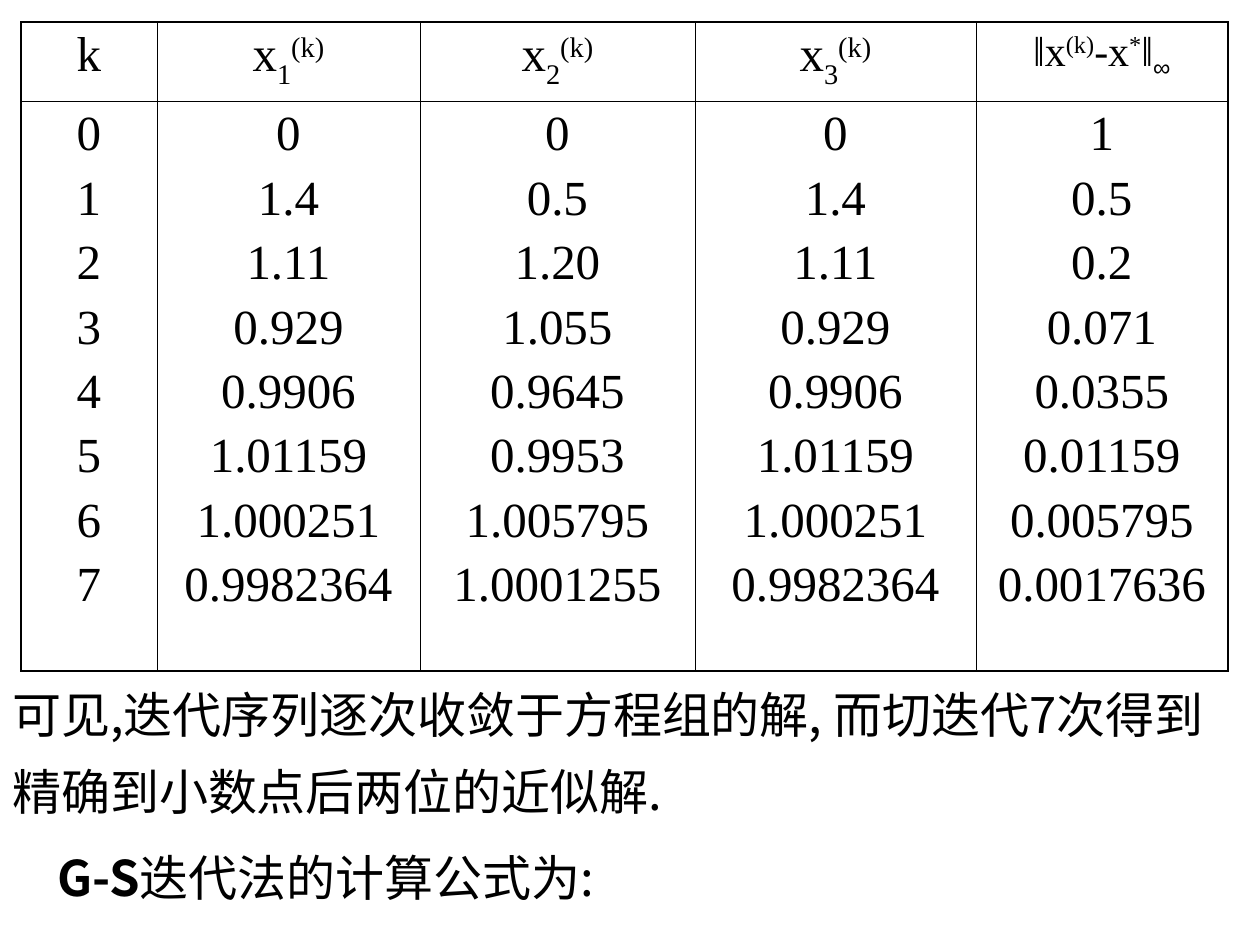
from lxml.etree import SubElement
from pptx import Presentation
from pptx.dml.color import RGBColor
from pptx.enum.text import MSO_AUTO_SIZE as AutoSize, PP_ALIGN as Align
from pptx.oxml.ns import qn
from pptx.util import Pt

PX = 914400 // 126
COLORS = {"ink": "000000"}
SERIF, SANS = "Times New Roman", "Noto Sans CJK SC"
THIN, THICK = Pt(0.45), Pt(1.08)
SUB, SUP = -25000, 30000


def add_span(para, text, size=28, font=SERIF, bold=False, baseline=None):
    span = para.add_run()
    span.text = text
    span.font.size = Pt(size)
    span.font.bold = bold
    span.font.name = font
    span.font.color.rgb = RGBColor.from_string(COLORS["ink"])
    props = span.font._element
    SubElement(props, qn("a:ea"), typeface=font)
    if baseline:
        props.set("baseline", str(baseline))


def set_border(cell, side, width):
    line = SubElement(cell._tc.get_or_add_tcPr(), qn(f"a:ln{side}"), w=str(width))
    fill = SubElement(line, qn("a:solidFill"))
    SubElement(fill, qn("a:srgbClr"), val=COLORS["ink"])


deck = Presentation()
deck.slide_width, deck.slide_height = 1260 * PX, 945 * PX
page = deck.slides.add_slide(deck.slide_layouts[6])

# Iteration table: each header is a list of (text, format) spans
headers = [[("k", {})]]
headers += [
    [("x", {}), (str(n), {"baseline": SUB}), ("(k)", {"baseline": SUP})]
    for n in (1, 2, 3)
]
small, raised = {"size": 24}, {"size": 24, "baseline": SUP}
headers.append([
    ("‖x", small), ("(k)", raised), ("-x", small), ("*", raised), ("‖", small),
    ("∞", {"size": 24, "font": "Arial", "baseline": SUB}),
])
iterations = [
    ("0", "0", "0", "0", "1"),
    ("1", "1.4", "0.5", "1.4", "0.5"),
    ("2", "1.11", "1.20", "1.11", "0.2"),
    ("3", "0.929", "1.055", "0.929", "0.071"),
    ("4", "0.9906", "0.9645", "0.9906", "0.0355"),
    ("5", "1.01159", "0.9953", "1.01159", "0.01159"),
    ("6", "1.000251", "1.005795", "1.000251", "0.005795"),
    ("7", "0.9982364", "1.0001255", "0.9982364", "0.0017636"),
]
column_widths = [136, 263, 275, 281, 252]
row_heights = [79, 570]
table = page.shapes.add_table(
    2, 5, 21 * PX, 22 * PX, sum(column_widths) * PX, sum(row_heights) * PX
).table
table.first_row = table.horz_banding = False
for column, width in zip(table.columns, column_widths):
    column.width = width * PX
for row, height in zip(table.rows, row_heights):
    row.height = height * PX

for c, header in enumerate(headers):
    body = [[(values[c], {})] for values in iterations]
    for r, lines in enumerate([[header], body]):
        cell = table.cell(r, c)
        for i, spans in enumerate(lines):
            frame = cell.text_frame
            para = frame.add_paragraph() if i else frame.paragraphs[0]
            para.alignment = Align.CENTER
            if i:
                para.space_before = Pt(5.8)
            for text, look in spans:
                add_span(para, text, **look)
        # Thick outer frame, thin inner rules
        set_border(cell, "L", THICK if c == 0 else THIN)
        set_border(cell, "R", THICK if c == 4 else THIN)
        set_border(cell, "T", THICK if r == 0 else THIN)
        set_border(cell, "B", THICK if r == 1 else THIN)
        cell.fill.background()

# Conclusion and lead-in to the next formula: top, height, indent, spans
notes = [
    (661, 166, 0, [
        ("可见,迭代序列逐次收敛于方程组的解, 而切迭代7次得到精确到小数点后两位的近似解.", False),
    ]),
    (824, 89, 45, [("G-S", True), ("迭代法的计算公式为:", False)]),
]
for top, height, indent, spans in notes:
    box = page.shapes.add_textbox(0, top * PX, 1260 * PX, height * PX)
    frame = box.text_frame
    frame.word_wrap = True
    frame.auto_size = AutoSize.SHAPE_TO_FIT_TEXT
    para = frame.paragraphs[0]
    para.line_spacing = 1.3
    para._p.get_or_add_pPr().set("indent", str(indent * PX))
    for text, bold in spans:
        add_span(para, text, font=SANS, bold=bold)

deck.save("out.pptx")
